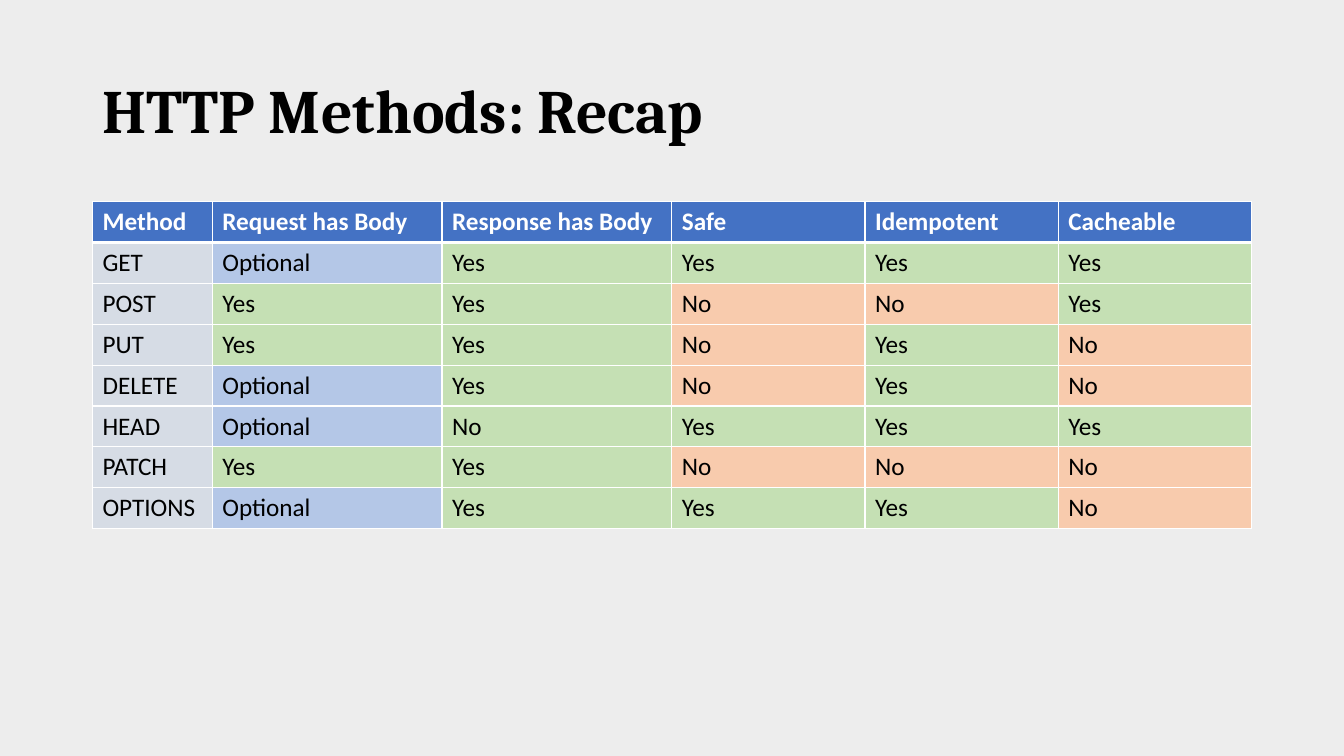
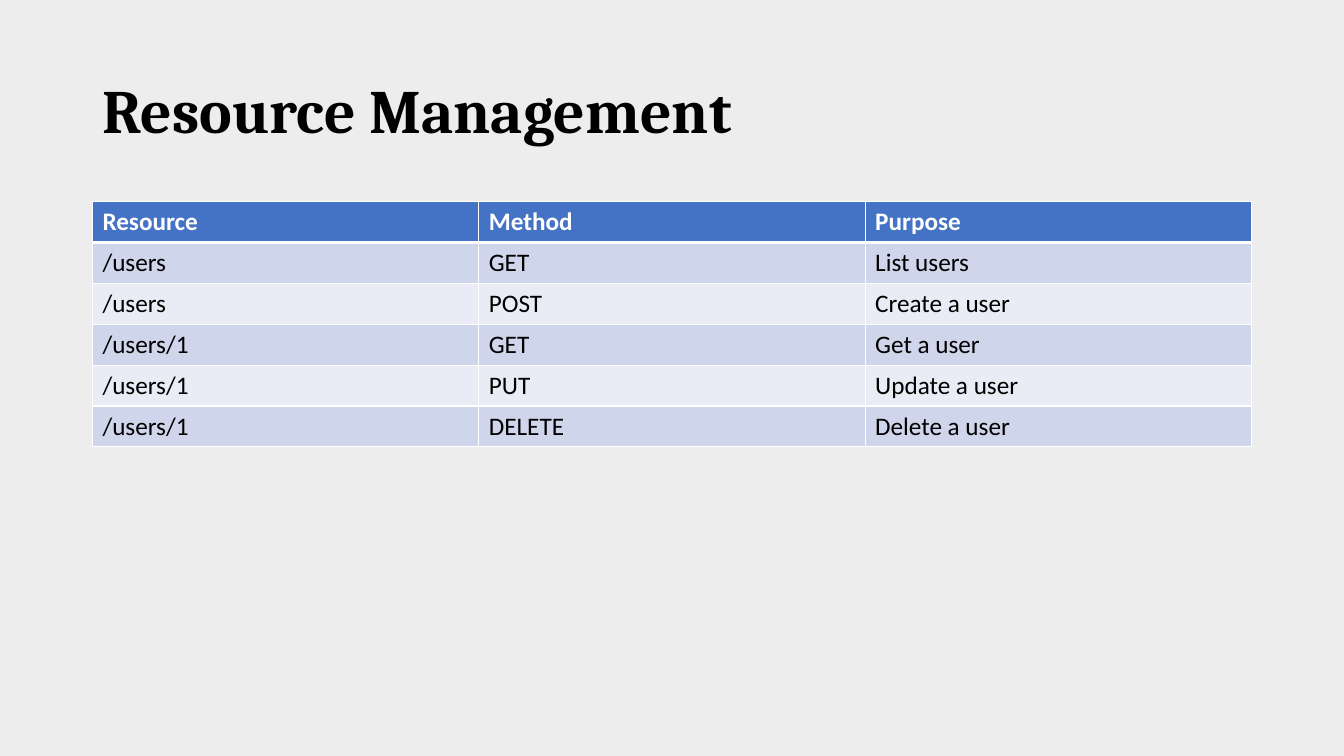
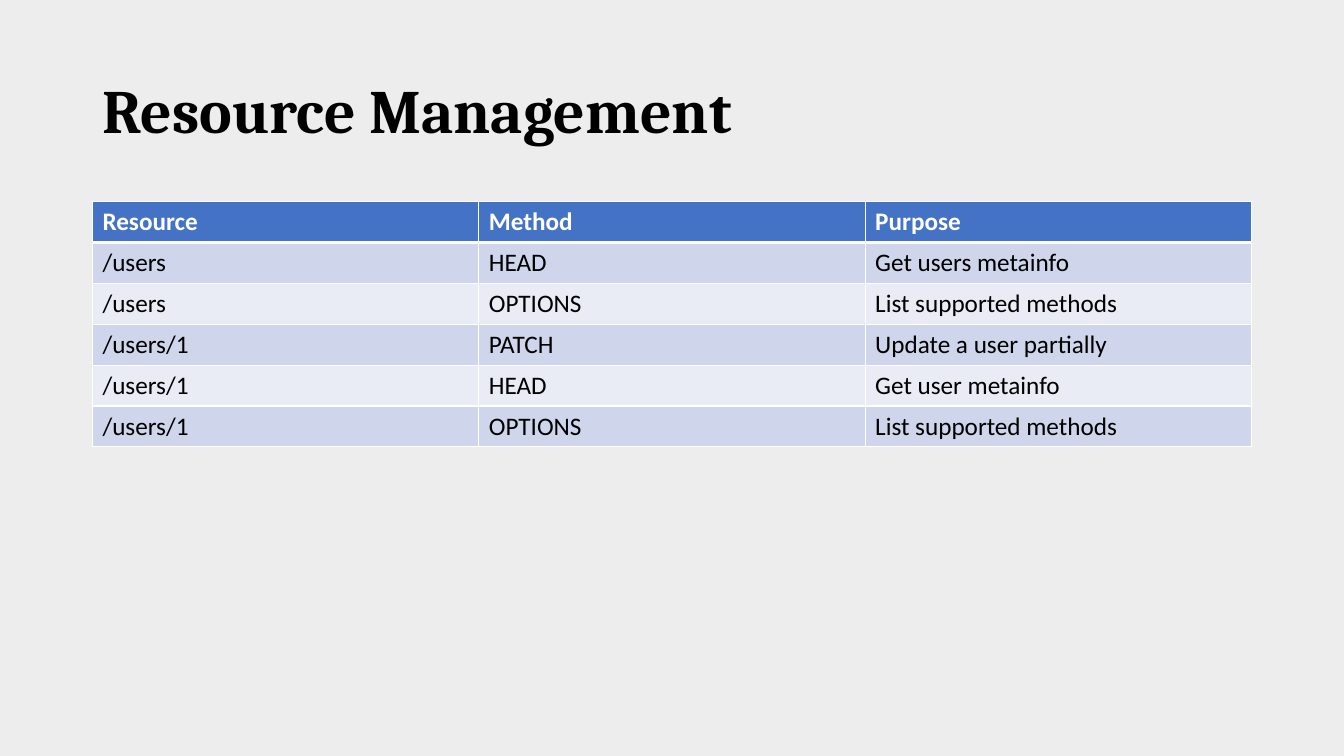
from lxml.etree import SubElement as Sub
from pptx import Presentation
from pptx.dml.color import RGBColor as RGB
from pptx.enum.text import MSO_ANCHOR as Anchor
from pptx.oxml.ns import qn
from pptx.util import Cm, Pt

PAPER = RGB(0xED, 0xED, 0xED)
BLACK = RGB(0x00, 0x00, 0x00)
WHITE = RGB(0xFF, 0xFF, 0xFF)
BLUE = RGB(0x44, 0x72, 0xC4)
GREY = RGB(0xD6, 0xDC, 0xE5)
SKY = RGB(0xB4, 0xC7, 0xE7)
GREEN = RGB(0xC5, 0xE0, 0xB4)
PEACH = RGB(0xF8, 0xCB, 0xAD)
DARK = RGB(0xCF, 0xD5, 0xEA)
LIGHT = RGB(0xE9, 0xEB, 0xF5)

LEFT, WIDTH = 2.33, 29.21
TITLE_TOP, TITLE_HIGH = 1.01, 3.68
TABLE_TOP, ROW_HIGH = 5.08, 1.03
THIN, THICK = Pt(1), Pt(3)

RECAP_COLS = [3.02, 5.79, 5.79, 4.87, 4.87, 4.87]
RECAP = [
    ["Method", "Request has Body", "Response has Body", "Safe", "Idempotent", "Cacheable"],
    ["GET", "Optional", "Yes", "Yes", "Yes", "Yes"],
    ["POST", "Yes", "Yes", "No", "No", "Yes"],
    ["PUT", "Yes", "Yes", "No", "Yes", "No"],
    ["DELETE", "Optional", "Yes", "No", "Yes", "No"],
    ["HEAD", "Optional", "No", "Yes", "Yes", "Yes"],
    ["PATCH", "Yes", "Yes", "No", "No", "No"],
    ["OPTIONS", "Optional", "Yes", "Yes", "Yes", "No"],
]

USE_COLS = [WIDTH / 3] * 3
USE_HEAD = ["Resource", "Method", "Purpose"]
BASIC = [
    USE_HEAD,
    ["/users", "GET", "List users"],
    ["/users", "POST", "Create a user"],
    ["/users/1", "GET", "Get a user"],
    ["/users/1", "PUT", "Update a user"],
    ["/users/1", "DELETE", "Delete a user"],
]
EXTRA = [
    USE_HEAD,
    ["/users", "HEAD", "Get users metainfo"],
    ["/users", "OPTIONS", "List supported methods"],
    ["/users/1", "PATCH", "Update a user partially"],
    ["/users/1", "HEAD", "Get user metainfo"],
    ["/users/1", "OPTIONS", "List supported methods"],
]


def add_run(para, text, face, size, color, bold):
    run = para.add_run()
    run.text = text
    font = run.font
    font.name, font.size, font.bold = face, Pt(size), bold
    font.color.rgb = color


def add_title(slide, text):
    box = slide.shapes.add_textbox(Cm(LEFT), Cm(TITLE_TOP), Cm(WIDTH), Cm(TITLE_HIGH))
    frame = box.text_frame
    frame.word_wrap = True
    frame.vertical_anchor = Anchor.MIDDLE
    para = frame.paragraphs[0]
    para.line_spacing = 0.9
    add_run(para, text, "Cambria", 44, BLACK, True)


def add_edges(cell, row):
    widths = {
        "lnL": THIN,
        "lnR": THIN,
        "lnT": THICK if row == 1 else THIN,
        "lnB": THICK if row == 0 else THIN,
    }
    props = cell._tc.get_or_add_tcPr()
    for side, width in widths.items():
        line = Sub(props, qn(f"a:{side}"), w=str(width))
        fill = Sub(line, qn("a:solidFill"))
        Sub(fill, qn("a:srgbClr"), val=str(WHITE))


def recap_tint(row, col, text):
    if col == 0:
        return GREY
    if text == "Optional":
        return SKY
    return PEACH if text == "No" and col > 2 else GREEN


def band_tint(row, col, text):
    return DARK if row % 2 else LIGHT


def add_grid(slide, rows, cols, tint):
    table = slide.shapes.add_table(
        len(rows), len(cols), Cm(LEFT), Cm(TABLE_TOP), Cm(WIDTH), Cm(ROW_HIGH * len(rows))
    ).table
    for col, width in enumerate(cols):
        table.columns[col].width = Cm(width)
    for row, texts in enumerate(rows):
        table.rows[row].height = Cm(ROW_HIGH)
        head = row == 0
        for col, text in enumerate(texts):
            cell = table.cell(row, col)
            add_edges(cell, row)
            cell.fill.solid()
            cell.fill.fore_color.rgb = BLUE if head else tint(row, col, text)
            para = cell.text_frame.paragraphs[0]
            add_run(para, text, "Calibri", 18, WHITE if head else BLACK, head)


def main():
    deck = Presentation()
    deck.slide_width, deck.slide_height = Cm(33.87), Cm(19.05)
    back = deck.slide_master.background.fill
    back.solid()
    back.fore_color.rgb = PAPER
    pages = [
        ("HTTP Methods: Recap", RECAP, RECAP_COLS, recap_tint),
        ("Resource Management", BASIC, USE_COLS, band_tint),
        ("Resource Management", EXTRA, USE_COLS, band_tint),
    ]
    for title, rows, cols, tint in pages:
        slide = deck.slides.add_slide(deck.slide_layouts[6])
        add_title(slide, title)
        add_grid(slide, rows, cols, tint)
    deck.save("out.pptx")


if __name__ == "__main__":
    main()
